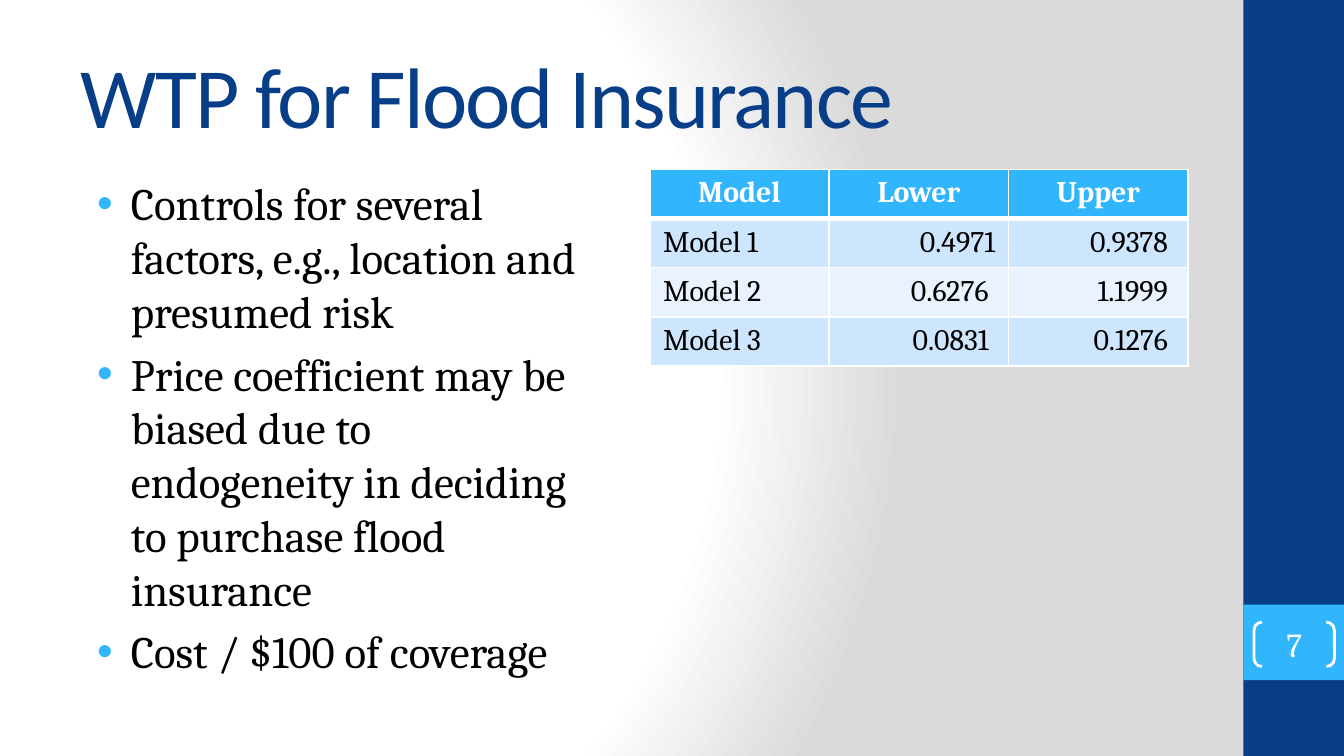
from dataclasses import dataclass

from lxml import etree
from pptx import Presentation
from pptx import oxml
from pptx.dml.color import RGBColor
from pptx.enum import shapes, text
from pptx.oxml import ns
from pptx.util import Cm, Pt


@dataclass(frozen=True)
class Theme:
    navy: str = "073E87"
    sky: str = "31B6FD"
    white: str = "FFFFFF"
    black: str = "000000"
    grey: str = "DADADA"
    bands: tuple = ("CEE5FE", "E8F3FF")
    title_font: str = "Calibri"
    body_font: str = "Cambria"
    title_size: int = 46
    body_size: int = 24
    number_size: int = 18
    table_size: int = 16


THEME = Theme()
BULLETS = [
    "Controls for several factors, e.g., location and presumed risk",
    "Price coefficient may be biased due to endogeneity in deciding to purchase flood insurance",
    "Cost / $100 of coverage",
]
ROWS = [
    ("Model", "Lower", "Upper"),
    ("Model 1", "0.4971", "0.9378 "),
    ("Model 2", "0.6276 ", "1.1999 "),
    ("Model 3", "0.0831 ", "0.1276 "),
]


def rgb(color):
    return RGBColor.from_string(color)


def style(paragraph, size, color, name=THEME.body_font, bold=False, align=text.PP_ALIGN.LEFT):
    paragraph.alignment = align
    font = paragraph.font
    font.name, font.size, font.bold = name, Pt(size), bold
    font.color.rgb = rgb(color)


def place(shape, left, top, width, height):
    shape.left, shape.top, shape.width, shape.height = map(Cm, (left, top, width, height))


def set_background(slide):
    """Circular gradient, white around its centre and grey outside."""
    slide.background.fill.solid()
    properties = slide.element.find(".//" + ns.qn("p:bgPr"))
    stops = [(0, THEME.white), (75, THEME.white), (100, THEME.grey)]
    stop_xml = "".join(
        f'<a:gs pos="{position * 1000}"><a:srgbClr val="{color}"/></a:gs>'
        for position, color in stops
    )
    gradient = oxml.parse_xml(
        f'<a:gradFill {ns.nsdecls("a")} rotWithShape="1"><a:gsLst>{stop_xml}</a:gsLst>'
        '<a:path path="circle"><a:fillToRect l="20000" t="50000" r="100000" b="50000"/>'
        "</a:path></a:gradFill>"
    )
    properties.replace(properties.find(ns.qn("a:solidFill")), gradient)


def add_bar(slide, top, height, color):
    bar = slide.shapes.add_shape(
        shapes.MSO_SHAPE.RECTANGLE, Cm(23.5), Cm(top), Cm(1.9), Cm(height))
    bar.shadow.inherit = False
    bar.fill.solid()
    bar.fill.fore_color.rgb = rgb(color)
    bar.line.fill.background()


def add_page_number(slide, number):
    bracket = slide.shapes.add_shape(
        shapes.MSO_SHAPE.DOUBLE_BRACKET, Cm(23.7), Cm(11.76), Cm(1.52), Cm(0.84))
    bracket.adjustments[0] = 0.18
    bracket.shadow.inherit = False
    bracket.fill.background()
    bracket.line.color.rgb = rgb(THEME.white)
    bracket.line.width = Pt(1.5)
    frame = bracket.text_frame
    frame.margin_left = frame.margin_top = frame.margin_right = frame.margin_bottom = 0
    frame.vertical_anchor = text.MSO_ANCHOR.MIDDLE
    frame.text = number
    style(frame.paragraphs[0], THEME.number_size, THEME.white, align=text.PP_ALIGN.CENTER)


def fill_title(title, wording):
    place(title, 1.27, 0.58, 21.16, 2.39)
    frame = title.text_frame
    frame.text = wording
    frame.auto_size = text.MSO_AUTO_SIZE.NONE
    frame.vertical_anchor = text.MSO_ANCHOR.MIDDLE
    paragraph = frame.paragraphs[0]
    style(paragraph, THEME.title_size, THEME.navy, THEME.title_font)
    paragraph.runs[0].font._element.set("spc", "-100")


def set_bullet(paragraph):
    properties = paragraph._p.get_or_add_pPr()
    properties.set("marL", str(Cm(0.95)))
    properties.set("indent", str(Cm(-0.64)))
    color = etree.SubElement(properties, ns.qn("a:buClr"))
    etree.SubElement(color, ns.qn("a:srgbClr"), val=THEME.sky)
    etree.SubElement(properties, ns.qn("a:buFont"), typeface="Arial")
    etree.SubElement(properties, ns.qn("a:buChar"), char="•")


def fill_body(body, items):
    place(body, 1.27, 3.2, 10.16, 9.58)
    frame = body.text_frame
    frame.text = "\n".join(items)
    frame.auto_size = text.MSO_AUTO_SIZE.NONE
    for paragraph in frame.paragraphs:
        style(paragraph, THEME.body_size, THEME.black)
        set_bullet(paragraph)


def set_borders(cell, top=1, bottom=1):
    properties = cell._tc.get_or_add_tcPr()
    widths = {"lnL": 1, "lnR": 1, "lnT": top, "lnB": bottom}
    for position, (side, width) in enumerate(widths.items()):
        properties.insert(position, oxml.parse_xml(
            f'<a:{side} {ns.nsdecls("a")} w="{Pt(width)}"><a:solidFill>'
            f'<a:srgbClr val="{THEME.white}"/></a:solidFill></a:{side}>'))


def add_estimates(slide, rows):
    column_width, row_height = Cm(3.39), Cm(0.93)
    columns = len(rows[0])
    table = slide.shapes.add_table(
        len(rows), columns, Cm(12.28), Cm(3.2),
        column_width * columns, row_height * len(rows)).table
    for column in table.columns:
        column.width = column_width
    for i, row in enumerate(rows):
        table.rows[i].height = row_height
        header = i == 0
        for j, value in enumerate(row):
            cell = table.cell(i, j)
            cell.text = value
            cell.fill.solid()
            cell.fill.fore_color.rgb = rgb(THEME.sky if header else THEME.bands[(i - 1) % 2])
            set_borders(cell, top=3 if i == 1 else 1, bottom=3 if header else 1)
            if header:
                align = text.PP_ALIGN.CENTER
            else:
                align = text.PP_ALIGN.RIGHT if j else text.PP_ALIGN.LEFT
            style(cell.text_frame.paragraphs[0], THEME.table_size,
                  THEME.white if header else THEME.black, bold=header, align=align)


def main():
    presentation = Presentation()
    presentation.slide_width, presentation.slide_height = Cm(25.4), Cm(14.29)
    slide = presentation.slides.add_slide(presentation.slide_layouts[1])

    # Background and side bar
    set_background(slide)
    add_bar(slide, 0, 14.29, THEME.navy)
    add_bar(slide, 11.43, 1.43, THEME.sky)

    # Title, list and table
    fill_title(slide.shapes.title, "WTP for Flood Insurance")
    fill_body(slide.placeholders[1], BULLETS)
    add_estimates(slide, ROWS)

    # Page number
    add_page_number(slide, "7")
    presentation.save("out.pptx")


if __name__ == "__main__":
    main()
